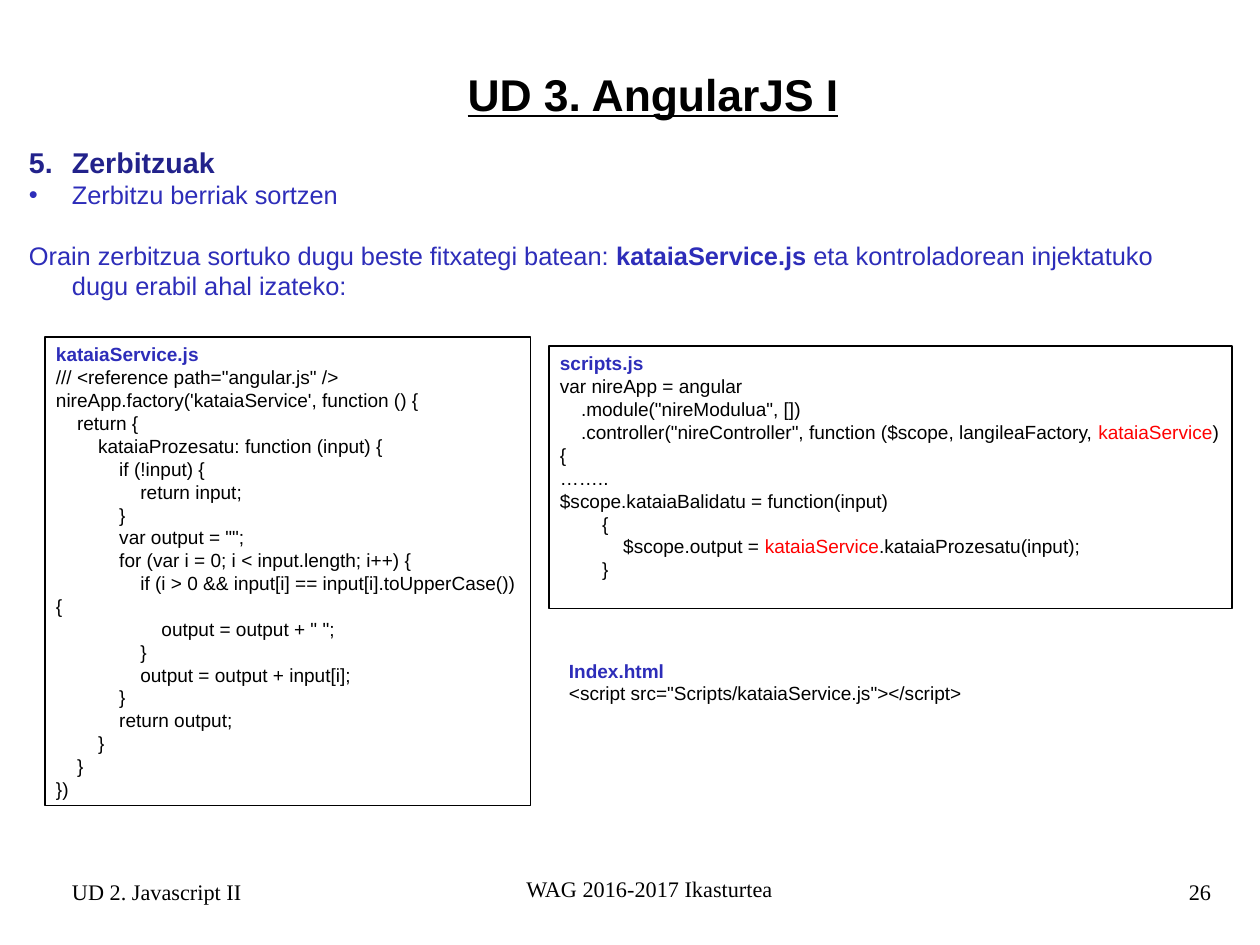
from dataclasses import dataclass

from lxml.etree import SubElement
from pptx import Presentation
from pptx.dml.color import RGBColor
from pptx.enum.shapes import MSO_SHAPE as Shape
from pptx.enum.text import MSO_ANCHOR as Anchor, PP_ALIGN as Align
from pptx.oxml.ns import qn
from pptx.util import Pt

PX = 8000


@dataclass(frozen=True)
class Theme:
    sans: str = "Arial"
    serif: str = "Times New Roman"
    ink: str = "000000"
    blue: str = "2D2DB9"
    navy: str = "22228B"
    red: str = "FF0000"
    title: int = 28
    heading: int = 18
    body: int = 16
    footer: int = 14
    code: int = 12


class SlideBuilder:
    """Draws titles, outlines, code and footers on one slide, measured in px."""

    def __init__(self, deck, theme):
        self.theme = theme
        self.page = deck.slides.add_slide(deck.slide_layouts[6])

    def frame(self, box, inset=(0, 0), anchor=Anchor.TOP):
        across, down = (value * PX for value in inset)
        settings = dict(word_wrap=True, vertical_anchor=anchor, margin_left=across,
                        margin_right=across, margin_top=down, margin_bottom=down)
        for name, value in settings.items():
            setattr(box.text_frame, name, value)
        return box.text_frame

    def textbox(self, place, **options):
        return self.frame(self.page.shapes.add_textbox(*(v * PX for v in place)), **options)

    def para(self, frame, index, **settings):
        para = frame.paragraphs[0] if index == 0 else frame.add_paragraph()
        for name, value in {"alignment": Align.LEFT, **settings}.items():
            setattr(para, name, value)
        return para

    def span(self, para, text, size, color=None, name=None, **settings):
        span = para.add_run()
        span.text = text
        font = {"size": Pt(size), "name": name or self.theme.sans, **settings}
        for key, value in font.items():
            setattr(span.font, key, value)
        span.font.color.rgb = RGBColor.from_string(color or self.theme.ink)

    def bullet(self, para, color, kind, **marker):
        props = para._p.get_or_add_pPr()
        SubElement(SubElement(props, qn("a:buClr")), qn("a:srgbClr"), val=color)
        SubElement(props, qn("a:buFont"), typeface=self.theme.sans)
        SubElement(props, qn(kind), **marker)

    def title(self, text, place):
        para = self.para(self.textbox(place, anchor=Anchor.MIDDLE), 0, alignment=Align.CENTER)
        self.span(para, text, self.theme.title, bold=True, underline=True)

    def footer(self, text, place, alignment):
        para = self.para(self.textbox(place), 0, alignment=alignment, line_spacing=0.95)
        self.span(para, text, self.theme.footer, name=self.theme.serif)

    def outline(self, place, heading, point, sentence, indent, gap):
        theme = self.theme
        frame = self.textbox(place, inset=(11, 6))
        rows = [
            ([(heading, True)], theme.heading, theme.navy,
             ("a:buAutoNum", {"type": "arabicPeriod", "startAt": "5"}), {}),
            ([(point, False)], theme.body, theme.blue, ("a:buChar", {"char": "•"}), {}),
            (sentence, theme.body, theme.blue, ("a:buNone", {}), {"space_before": Pt(gap)}),
        ]
        for index, (spans, size, color, (kind, marker), settings) in enumerate(rows):
            para = self.para(frame, index, **settings)
            props = para._p.get_or_add_pPr()
            props.set("marL", str(indent * PX))
            props.set("indent", str(-indent * PX))
            self.bullet(para, color, kind, **marker)
            for text, bold in spans:
                self.span(para, text, size, color, bold=bold)

    def code(self, place, heading, source, marked=None, framed=True):
        if framed:
            box = self.page.shapes.add_shape(Shape.RECTANGLE, *(v * PX for v in place))
            box.shadow.inherit = False
            box.fill.background()
            box.line.color.rgb = RGBColor.from_string(self.theme.ink)
            box.line.width = Pt(0.75)
            frame = self.frame(box, inset=(11, 6))
        else:
            frame = self.textbox(place, inset=(11, 6))
        size = self.theme.code
        self.span(self.para(frame, 0), heading, size, self.theme.blue, bold=True)
        for index, line in enumerate(source.strip("\n").split("\n"), 1):
            para = self.para(frame, index)
            before, found, after = line.partition(marked) if marked else (line, "", "")
            for text, color in ((before, None), (found, self.theme.red), (after, None)):
                if text:
                    self.span(para, text, size, color)


SERVICE = """
/// <reference path="angular.js" />
nireApp.factory('kataiaService', function () {
    return {
        kataiaProzesatu: function (input) {
            if (!input) {
                return input;
            }
            var output = "";
            for (var i = 0; i < input.length; i++) {
                if (i > 0 && input[i] == input[i].toUpperCase()) {
                    output = output + " ";
                }
                output = output + input[i];
            }
            return output;
        }
    }
})
"""

CONTROLLER = """
var nireApp = angular
    .module("nireModulua", [])
    .controller("nireController", function ($scope, langileaFactory, kataiaService) {
……..
$scope.kataiaBalidatu = function(input)
        {
            $scope.output = kataiaService.kataiaProzesatu(input);
        }
"""


def main():
    deck = Presentation()
    deck.slide_width, deck.slide_height = 1260 * PX, 945 * PX
    slide = SlideBuilder(deck, Theme())
    slide.footer("WAG 2016-2017 Ikasturtea", (450, 877, 399, 65), Align.CENTER)
    slide.footer("26", (918, 880, 293, 65), Align.RIGHT)
    slide.title("UD 3. AngularJS I", (86, 17, 1134, 153))
    slide.footer("UD 2. Javascript II", (72, 880, 293, 65), Align.LEFT)
    sentence = [
        ("Orain zerbitzua sortuko dugu beste fitxategi batean: ", False),
        ("kataiaService.js", True),
        (" eta kontroladorean injektatuko dugu erabil ahal izateko:", False),
    ]
    slide.outline((18, 139, 1206, 168), "Zerbitzuak", "Zerbitzu berriak sortzen",
                  sentence, indent=43, gap=19)
    slide.code((45, 337, 486, 469), "kataiaService.js", SERVICE)
    slide.code((549, 346, 683, 263), "scripts.js", CONTROLLER, marked="kataiaService)"[:-1])
    slide.code((558, 653, 648, 57), "Index.html",
               '<script src="Scripts/kataiaService.js"></script>', framed=False)
    deck.save("out.pptx")


if __name__ == "__main__":
    main()
